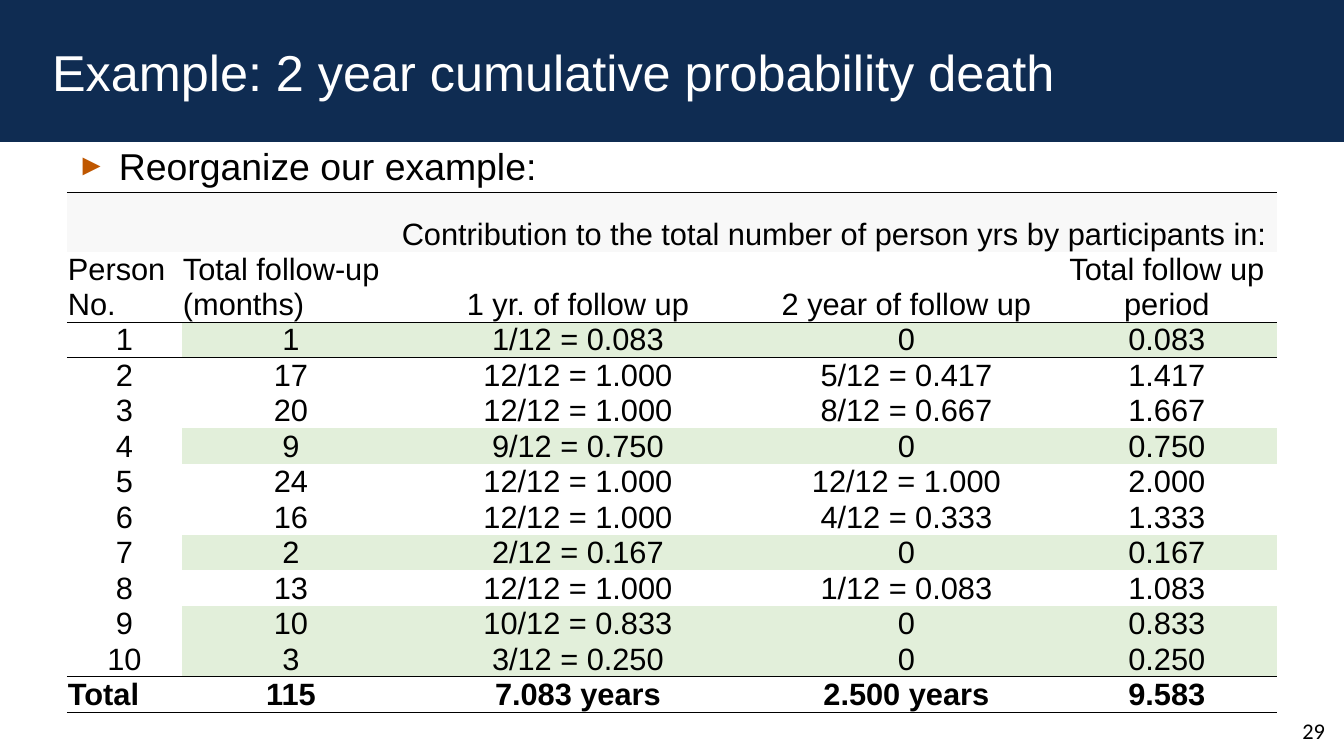
"""Build the slide on the two year cumulative probability of death."""
from dataclasses import dataclass

from lxml import etree
from pptx import Presentation
from pptx.dml.color import RGBColor
from pptx.enum.shapes import MSO_SHAPE
from pptx.enum.text import MSO_ANCHOR, MSO_AUTO_SIZE, PP_ALIGN
from pptx.oxml.ns import qn
from pptx.util import Pt

TITLE = "Example: 2 year cumulative probability death"
LEAD = "Reorganize our example:"
PAGE_NUMBER = "29"
SPAN_HEADER = "Contribution to the total number of person yrs by participants in: "
HEADERS = ["Person No.", "Total follow-up (months)", "1 yr. of follow up",
           "2 year of follow up", "Total follow up period"]
PERSONS = [
    ("1", "1", "1/12 = 0.083", "0", "0.083"),
    ("2", "17", "12/12 = 1.000", "5/12 = 0.417", "1.417"),
    ("3", "20", "12/12 = 1.000", "8/12 = 0.667", "1.667"),
    ("4", "9", "9/12 = 0.750", "0", "0.750"),
    ("5", "24", "12/12 = 1.000", "12/12 = 1.000", "2.000"),
    ("6", "16", "12/12 = 1.000", "4/12 = 0.333", "1.333"),
    ("7", "2", "2/12 = 0.167", "0", "0.167"),
    ("8", "13", "12/12 = 1.000", "1/12 = 0.083", "1.083"),
    ("9", "10", "10/12 = 0.833", "0", "0.833"),
    ("10", "3", "3/12 = 0.250", "0", "0.250"),
]
TOTALS = ["Total", "115", "7.083 years", "2.500 years", "9.583"]

SLIDE_SIZE = (1344, 756)
BANNER_BOX = (0, 0, 1344, 142)
TITLE_BOX = (42, 28, 1260, 87)
LEAD_BOX = (67, 138, 1210, 537)
NUMBER_BOX = (1243, 704, 82, 40)
TABLE_ORIGIN = (67, 192)
COLUMN_WIDTHS = [115, 218, 356, 301, 220]
ROW_HEIGHTS = [60, 70] + [35] * (len(PERSONS) + 1)
BULLET_INDENT = 42
CELL_INSET = 1
LEFT, CENTER, RIGHT = PP_ALIGN.LEFT, PP_ALIGN.CENTER, PP_ALIGN.RIGHT
TOP, MIDDLE, BOTTOM = MSO_ANCHOR.TOP, MSO_ANCHOR.MIDDLE, MSO_ANCHOR.BOTTOM
NO_AUTOFIT = MSO_AUTO_SIZE.NONE
RECTANGLE = MSO_SHAPE.RECTANGLE
TITLE_ONLY = 5
PLAIN_TABLE_STYLE = "{2D5ABB26-0587-4C30-8999-92F81FD0307C}"


@dataclass(frozen=True)
class Theme:
    """Colours, fonts and type sizes."""
    navy: str = "0F2C52"
    orange: str = "BF5700"
    green: str = "E2EFDA"
    grey: str = "F8F8F8"
    black: str = "000000"
    white: str = "FFFFFF"
    font: str = "Arial"
    number_font: str = "Calibri"
    title_size: float = 36
    lead_size: float = 26.7
    table_size: float = 22
    number_size: float = 16
    rule_width: float = 0.5


THEME = Theme()


def px(length):
    """Turn pixels into EMU."""
    return round(length * 914400 / 100.8)


def set_all(target, **values):
    """Set each named attribute on the target."""
    for name, value in values.items():
        setattr(target, name, value)


def place(shape, box):
    """Put a shape at a pixel box."""
    set_all(shape, **dict(zip(("left", "top", "width", "height"), map(px, box))))


def write(frame, text, size, color=THEME.black, font=THEME.font, align=LEFT, bold=False):
    """Write one formatted paragraph and return it."""
    paragraph = frame.paragraphs[0]
    paragraph.alignment = align
    run = paragraph.add_run()
    run.text = text
    set_all(run.font, name=font, size=Pt(size), bold=bold)
    run.font.color.rgb = RGBColor.from_string(color)
    return paragraph


def add_child(parent, tag, **attributes):
    """Append a DrawingML element and return it."""
    return etree.SubElement(parent, qn(f"a:{tag}"), attributes)


def add_bullet(paragraph):
    """Give a paragraph its arrow bullet."""
    properties = paragraph._p.get_or_add_pPr()
    properties.set("marL", str(px(BULLET_INDENT)))
    properties.set("indent", str(-px(BULLET_INDENT)))
    add_child(add_child(properties, "buClr"), "srgbClr", val=THEME.orange)
    add_child(properties, "buSzPct", val="80000")
    add_child(properties, "buFont", typeface=THEME.font)
    add_child(properties, "buChar", char="►")


def add_rule(cell, side):
    """Draw a thin line on one side of a cell."""
    properties = cell._tc.get_or_add_tcPr()
    line = add_child(properties, f"ln{side}", w=str(Pt(THEME.rule_width)))
    add_child(add_child(line, "solidFill"), "srgbClr", val=THEME.black)


def add_text_box(slide, box, anchor, inset=None):
    """Add a wrapping text box and return its frame."""
    shape = slide.shapes.add_textbox(0, 0, 0, 0)
    place(shape, box)
    frame = shape.text_frame
    set_all(frame, word_wrap=True, auto_size=NO_AUTOFIT, vertical_anchor=anchor)
    if inset is not None:
        set_all(frame, margin_left=inset, margin_right=inset,
                margin_top=inset, margin_bottom=inset)
    return frame


def add_banner_and_title(slide):
    """Add the navy banner behind the title."""
    banner = slide.shapes.add_shape(RECTANGLE, 0, 0, 0, 0)
    place(banner, BANNER_BOX)
    banner.shadow.inherit = False
    banner.fill.solid()
    banner.fill.fore_color.rgb = RGBColor.from_string(THEME.navy)
    banner.line.fill.background()
    title = slide.shapes.title
    banner._element.addnext(title._element)
    place(title, TITLE_BOX)
    set_all(title.text_frame, vertical_anchor=MIDDLE, auto_size=NO_AUTOFIT, word_wrap=True)
    write(title.text_frame, TITLE, THEME.title_size, THEME.white)


def format_cell(cell, text, fill, align, bold, sides):
    """Write one table cell with its lines and fill."""
    inset = px(CELL_INSET)
    set_all(cell, margin_left=inset, margin_right=inset, margin_top=inset,
            margin_bottom=0, vertical_anchor=BOTTOM)
    for side in sides:
        add_rule(cell, side)
    if fill:
        cell.fill.solid()
        cell.fill.fore_color.rgb = RGBColor.from_string(fill)
    else:
        cell.fill.background()
    if text:
        write(cell.text_frame, text, THEME.table_size, align=align, bold=bold)


def add_person_years_table(slide):
    """Add the table, shading persons with no second year."""
    rows = [["", "", SPAN_HEADER, "", ""], HEADERS, *PERSONS, TOTALS]
    last = len(rows) - 1
    frame = slide.shapes.add_table(
        len(rows), len(HEADERS), *map(px, TABLE_ORIGIN),
        px(sum(COLUMN_WIDTHS)), px(sum(ROW_HEIGHTS)))
    table = frame.table
    set_all(table, first_row=False, horz_banding=False)
    table._tbl.tblPr.find(qn("a:tableStyleId")).text = PLAIN_TABLE_STYLE
    for column, width in zip(table.columns, COLUMN_WIDTHS):
        column.width = px(width)
    for row, height in zip(table.rows, ROW_HEIGHTS):
        row.height = px(height)
    table.cell(0, 2).merge(table.cell(0, 4))
    rules = {0: "T", 1: "B", 2: "T", last - 1: "B", last: "TB"}
    for i, values in enumerate(rows):
        for j, text in enumerate(values):
            shaded = values[3] == "0" and j > 0
            fill = THEME.grey if i == 0 else THEME.green if shaded else None
            align = LEFT if (i == 1 and j < 2) or (i == last and j == 0) else CENTER
            format_cell(table.cell(i, j), text, fill, align, i == last, rules.get(i, ""))


def main():
    """Build and save the presentation."""
    presentation = Presentation()
    presentation.slide_width, presentation.slide_height = map(px, SLIDE_SIZE)
    slide = presentation.slides.add_slide(presentation.slide_layouts[TITLE_ONLY])
    add_banner_and_title(slide)
    number = add_text_box(slide, NUMBER_BOX, BOTTOM, 0)
    write(number, PAGE_NUMBER, THEME.number_size, font=THEME.number_font, align=RIGHT)
    add_bullet(write(add_text_box(slide, LEAD_BOX, TOP), LEAD, THEME.lead_size))
    add_person_years_table(slide)
    presentation.save("out.pptx")


if __name__ == "__main__":
    main()
